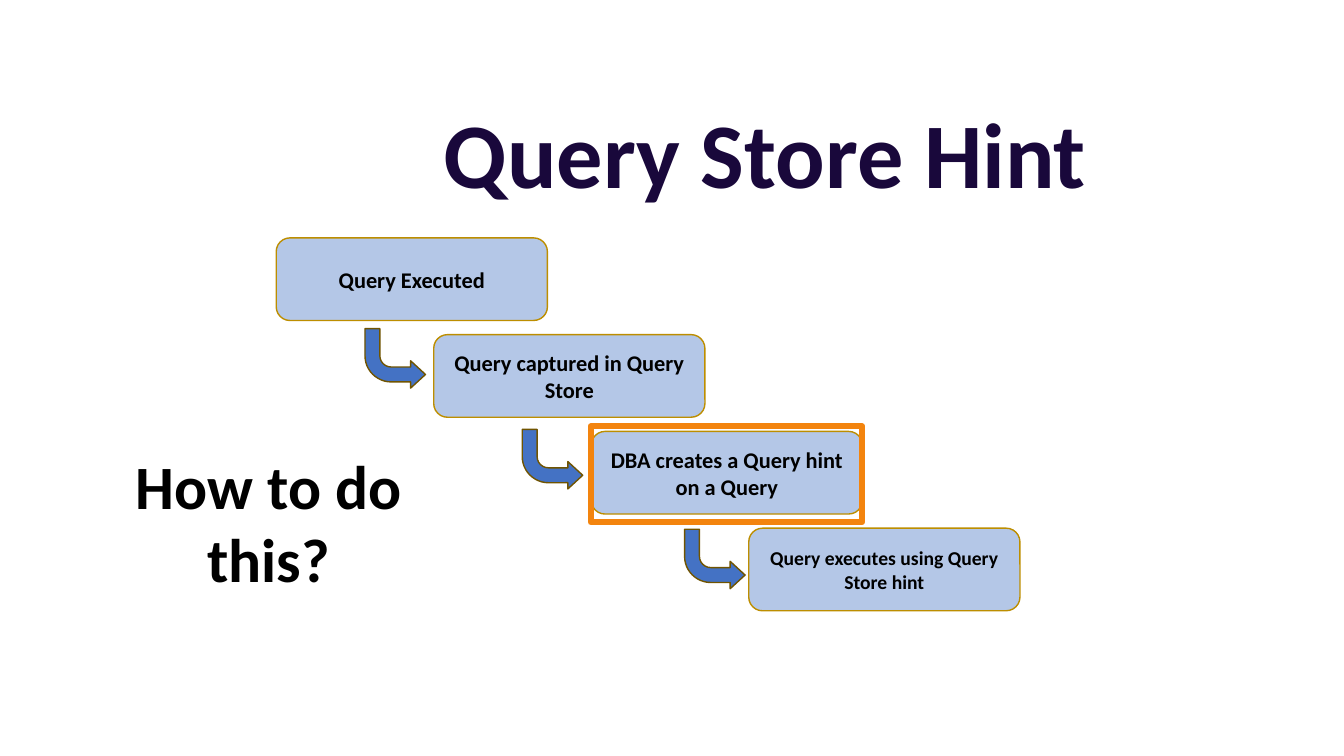
from dataclasses import dataclass

from pptx import Presentation
from pptx.dml.color import RGBColor
from pptx.enum.shapes import MSO_SHAPE
from pptx.enum.text import MSO_ANCHOR, MSO_AUTO_SIZE, PP_ALIGN
from pptx.shapes.autoshape import Shape
from pptx.slide import Slide
from pptx.text.text import TextFrame
from pptx.util import Inches, Pt

SLIDE_WIDTH, SLIDE_HEIGHT = Inches(13.33), Inches(7.5)


@dataclass(frozen=True)
class Theme:
    font: str = "Calibri"
    title: str = "19083B"
    text: str = "000000"
    box: str = "B4C7E7"
    box_line: str = "BD8E00"
    arrow: str = "4472C4"
    arrow_line: str = "705400"
    highlight: str = "F3840E"
    title_size: int = 66
    question_size: int = 44
    step_size: int = 16
    small_step_size: int = 14
    thin_line: float = 1
    thick_line: float = 4.5


@dataclass(frozen=True)
class Area:
    """A rectangle in percent of the slide's width and height."""
    left: float
    top: float
    width: float
    height: float

    def lengths(self) -> tuple[int, int, int, int]:
        return (
            round(SLIDE_WIDTH * self.left / 100),
            round(SLIDE_HEIGHT * self.top / 100),
            round(SLIDE_WIDTH * self.width / 100),
            round(SLIDE_HEIGHT * self.height / 100),
        )

    def shifted(self, columns: float, rows: float) -> "Area":
        return Area(self.left + columns, self.top + rows, self.width, self.height)


@dataclass(frozen=True)
class Step:
    label: str
    size: int


THEME = Theme()
STEPS = (
    Step("Query Executed", THEME.step_size),
    Step("Query captured in Query Store", THEME.step_size),
    Step("DBA creates a Query hint on a Query", THEME.step_size),
    Step("Query executes using Query Store hint", THEME.small_step_size),
)
FIRST_STEP = Area(20.55, 31.47, 20.18, 10.93)
STAIR_COLUMNS, STAIR_ROWS = 11.72, 12.8
ARROWS = (
    Area(27.16, 43.47, 4.5, 7.87),
    Area(38.86, 56.8, 4.5, 7.87),
    Area(50.94, 70, 4.5, 7.87),
)
ARROW_ADJUSTMENTS = (0.25, 0.23, 0.25, 0.44)
TITLE = Area(32.26, 12.53, 56.41, 15.73)
HIGHLIGHT = Area(43.96, 56.4, 20.18, 12.67)
QUESTION = Area(8.85, 58.53, 22.28, 21.07)


def write_text(frame: TextFrame, text: str, size: int, color: str,
               alignment: PP_ALIGN, anchor: MSO_ANCHOR) -> None:
    frame.text = text
    frame.word_wrap = True
    frame.auto_size = MSO_AUTO_SIZE.NONE
    frame.vertical_anchor = anchor
    paragraph = frame.paragraphs[0]
    paragraph.alignment = alignment
    font = paragraph.runs[0].font
    font.name, font.size, font.bold = THEME.font, Pt(size), True
    font.color.rgb = RGBColor.from_string(color)


def add_outlined_shape(slide: Slide, preset: MSO_SHAPE, area: Area, fill: str | None,
                       line: str, line_width: float) -> Shape:
    shape = slide.shapes.add_shape(preset, *area.lengths())
    shape.shadow.inherit = False
    if fill is None:
        shape.fill.background()
    else:
        shape.fill.solid()
        shape.fill.fore_color.rgb = RGBColor.from_string(fill)
    shape.line.color.rgb = RGBColor.from_string(line)
    shape.line.width = Pt(line_width)
    return shape


def add_step(slide: Slide, step: Step, area: Area) -> None:
    box = add_outlined_shape(slide, MSO_SHAPE.ROUNDED_RECTANGLE, area,
                             THEME.box, THEME.box_line, THEME.thin_line)
    write_text(box.text_frame, step.label, step.size, THEME.text,
               PP_ALIGN.CENTER, MSO_ANCHOR.MIDDLE)


def add_arrow(slide: Slide, area: Area) -> None:
    """Add a bent arrow that runs down and then to the right."""
    arrow = add_outlined_shape(slide, MSO_SHAPE.BENT_ARROW, area,
                               THEME.arrow, THEME.arrow_line, THEME.thin_line)
    for index, value in enumerate(ARROW_ADJUSTMENTS):
        arrow.adjustments[index] = value
    arrow.rotation = 180
    arrow._element.spPr.get_or_add_xfrm().set("flipH", "1")


def add_title(slide: Slide) -> None:
    title = slide.shapes.title
    title.left, title.top, title.width, title.height = TITLE.lengths()
    write_text(title.text_frame, "Query Store Hint", THEME.title_size, THEME.title,
               PP_ALIGN.LEFT, MSO_ANCHOR.BOTTOM)
    title.text_frame.paragraphs[0].line_spacing = 0.9


def add_question(slide: Slide) -> None:
    question = slide.shapes.add_textbox(*QUESTION.lengths())
    write_text(question.text_frame, "How to do this?", THEME.question_size, THEME.text,
               PP_ALIGN.CENTER, MSO_ANCHOR.TOP)


def main() -> None:
    presentation = Presentation()
    presentation.slide_width, presentation.slide_height = SLIDE_WIDTH, SLIDE_HEIGHT
    slide = presentation.slides.add_slide(presentation.slide_layouts.get_by_name("Title Only"))
    add_title(slide)
    for index, step in enumerate(STEPS):
        add_step(slide, step, FIRST_STEP.shifted(index * STAIR_COLUMNS, index * STAIR_ROWS))
    for area in ARROWS:
        add_arrow(slide, area)
    add_outlined_shape(slide, MSO_SHAPE.RECTANGLE, HIGHLIGHT, None,
                       THEME.highlight, THEME.thick_line)
    add_question(slide)
    presentation.save("out.pptx")


if __name__ == "__main__":
    main()
